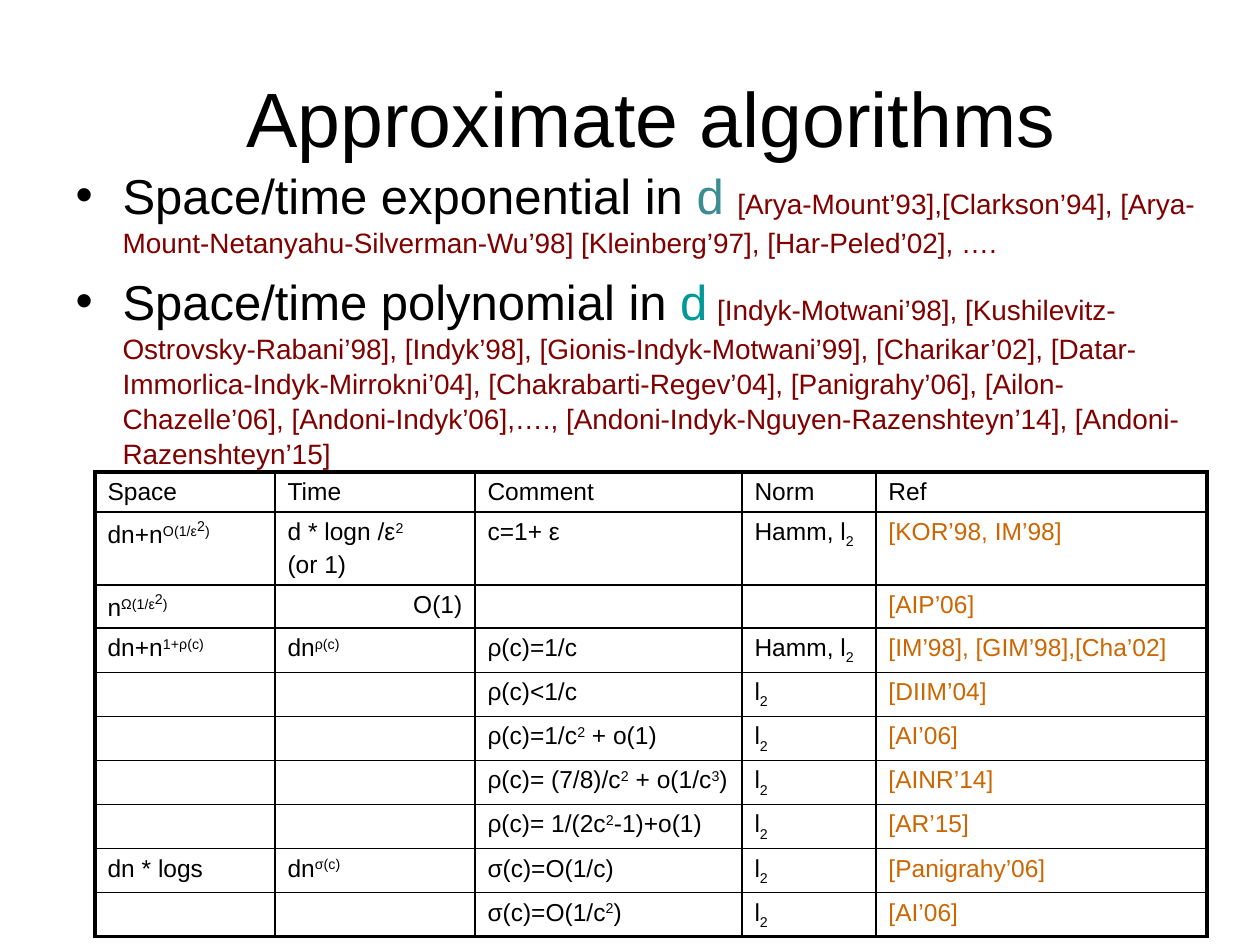
from dataclasses import dataclass

from lxml import etree
from pptx import Presentation
from pptx.dml.color import RGBColor
from pptx.enum.text import MSO_ANCHOR, MSO_AUTO_SIZE, PP_ALIGN
from pptx.oxml.ns import qn
from pptx.util import Emu, Pt

CENTER, LEFT, RIGHT = PP_ALIGN.CENTER, PP_ALIGN.LEFT, PP_ALIGN.RIGHT
MIDDLE, TOP = MSO_ANCHOR.MIDDLE, MSO_ANCHOR.TOP
NO_FIT = MSO_AUTO_SIZE.NONE
PX_PER_INCH = 126


@dataclass(frozen=True)
class Theme:
    font: str = "Arial"
    ink: str = "000000"
    citation: str = "800000"
    dimension_muted: str = "3C8C93"
    dimension: str = "009999"
    reference: str = "CC6600"
    title_size: int = 44
    bullet_size: int = 28
    gap_size: int = 20
    citation_size: int = 16
    table_size: int = 14
    outer_line: float = 2.25
    inner_line: float = 1


THEME = Theme()

BULLETS = [
    [
        ("Space/time exponential in ", THEME.bullet_size, THEME.ink),
        ("d ", THEME.bullet_size, THEME.dimension_muted),
        ("[Arya-Mount’93],[Clarkson’94], [Arya-Mount-Netanyahu-Silverman-Wu’98] "
         "[Kleinberg’97], [Har-Peled’02], ….", THEME.citation_size, THEME.citation),
    ],
    [
        ("Space/time polynomial in ", THEME.bullet_size, THEME.ink),
        ("d", THEME.bullet_size, THEME.dimension),
        (" ", THEME.gap_size, THEME.citation),
        ("[Indyk-Motwani’98], [Kushilevitz-Ostrovsky-Rabani’98], [Indyk’98], "
         "[Gionis-Indyk-Motwani’99], [Charikar’02], [Datar-Immorlica-Indyk-Mirrokni’04], "
         "[Chakrabarti-Regev’04], [Panigrahy’06], [Ailon-Chazelle’06], [Andoni-Indyk’06],…., "
         "[Andoni-Indyk-Nguyen-Razenshteyn’14], [Andoni-Razenshteyn’15]",
         THEME.citation_size, THEME.citation),
    ],
]

BASELINES = {"^^": 50, "^": 30, "_": -25}
BOUNDS = [
    ["Space", "Time", "Comment", "Norm", "Ref"],
    ["dn+n|^O(1/ε|^^2|^)", "d * logn /ε|^2\n(or 1)", "c=1+ ε", "Hamm, l|_2", "[KOR’98, IM’98]"],
    ["n|^Ω(1/ε|^^2|^)", "O(1)", "", "", "[AIP’06]"],
    ["dn+n|^1+ρ(c)", "dn|^ρ(c)", "ρ(c)=1/c", "Hamm, l|_2", "[IM’98], [GIM’98],[Cha’02]"],
    ["", "", "ρ(c)<1/c", "l|_2", "[DIIM’04]"],
    ["", "", "ρ(c)=1/c|^2| + o(1)", "l|_2", "[AI’06]"],
    ["", "", "ρ(c)= (7/8)/c|^2| + o(1/c|^3|)", "l|_2", "[AINR’14]"],
    ["", "", "ρ(c)= 1/(2c|^2|-1)+o(1)", "l|_2", "[AR’15]"],
    ["dn * logs", "dn|^σ(c)", "σ(c)=O(1/c)", "l|_2", "[Panigrahy’06]"],
    ["", "", "σ(c)=O(1/c|^2|)", "l|_2", "[AI’06]"],
]
COLUMN_WIDTHS = [180, 200, 267, 134, 331]
ROW_HEIGHTS = [40, 73, 43] + [44] * 7


def px(length):
    return Emu(round(length * 914400 / PX_PER_INCH))


def apply(target, values):
    for name, value in values.items():
        setattr(target, name, value)


def place(part, box):
    apply(part, dict(zip(("left", "top", "width", "height"), map(px, box))))


def add_run(paragraph, text, size, color):
    run = paragraph.add_run()
    run.text = text
    apply(run.font, {"name": THEME.font, "size": Pt(size)})
    run.font.color.rgb = RGBColor.from_string(color)
    return run


def fill_title(title, box):
    place(title, box)
    frame = title.text_frame
    apply(frame, {"vertical_anchor": MIDDLE, "word_wrap": True, "auto_size": NO_FIT,
                  "margin_left": px(55)})
    heading = frame.paragraphs[0]
    heading.alignment = CENTER
    add_run(heading, "Approximate algorithms", THEME.title_size, THEME.ink)


def fill_bullets(body, box):
    place(body, box)
    frame = body.text_frame
    apply(frame, {"vertical_anchor": TOP, "word_wrap": True, "auto_size": NO_FIT})
    for index, pieces in enumerate(BULLETS):
        bullet = frame.add_paragraph() if index else frame.paragraphs[0]
        apply(bullet, {"alignment": LEFT, "line_spacing": 1.04})
        properties = bullet._p.get_or_add_pPr()
        properties.set("marL", str(px(47)))
        properties.set("indent", str(px(-47)))
        etree.SubElement(properties, qn("a:buChar"), char="•")
        for piece in pieces:
            add_run(bullet, *piece)


def draw_border(cell, side, width):
    line = etree.SubElement(cell._tc.get_or_add_tcPr(), qn(f"a:ln{side}"), w=str(Pt(width)))
    fill = etree.SubElement(line, qn("a:solidFill"))
    etree.SubElement(fill, qn("a:srgbClr"), val=THEME.ink)


def write_formula(paragraph, formula, color):
    spacing = etree.SubElement(paragraph._p.get_or_add_pPr(), qn("a:spcBef"))
    etree.SubElement(spacing, qn("a:spcPct"), val="20000")
    if not formula:
        etree.SubElement(paragraph._p, qn("a:endParaRPr"), sz=str(THEME.table_size * 100))
        return
    for piece in formula.split("|"):
        mark = next((key for key in BASELINES if piece.startswith(key)), "")
        run = add_run(paragraph, piece[len(mark):], THEME.table_size, color)
        if mark:
            run._r.get_or_add_rPr().set("baseline", str(BASELINES[mark] * 1000))


def add_bounds_table(slide, box):
    last_row, last_column = len(BOUNDS) - 1, len(COLUMN_WIDTHS) - 1
    table = slide.shapes.add_table(last_row + 1, last_column + 1, *map(px, box)).table
    apply(table, {"first_row": False, "horz_banding": False})
    for column, width in zip(table.columns, COLUMN_WIDTHS):
        column.width = px(width)
    for row, height in zip(table.rows, ROW_HEIGHTS):
        row.height = px(height)
    for r, entries in enumerate(BOUNDS):
        for c, entry in enumerate(entries):
            cell = table.cell(r, c)
            outer_sides = {"L": c == 0, "R": c == last_column, "T": r == 0, "B": r == last_row}
            for side, outer in outer_sides.items():
                draw_border(cell, side, THEME.outer_line if outer else THEME.inner_line)
            cell.fill.background()
            color = THEME.reference if r and c == last_column else THEME.ink
            for index, formula in enumerate(entry.split("\n")):
                frame = cell.text_frame
                paragraph = frame.add_paragraph() if index else frame.paragraphs[0]
                paragraph.alignment = RIGHT if entry == "O(1)" else LEFT
                write_formula(paragraph, formula, color)


def main():
    deck = Presentation()
    apply(deck, {"slide_width": px(1260), "slide_height": px(945)})
    slide = deck.slides.add_slide(deck.slide_layouts[1])
    fill_title(slide.shapes.title, (63, 38, 1134, 157))
    fill_bullets(slide.placeholders[1], (63, 157, 1158, 475))
    add_bounds_table(slide, (95, 472, sum(COLUMN_WIDTHS), sum(ROW_HEIGHTS)))
    deck.save("out.pptx")


if __name__ == "__main__":
    main()
